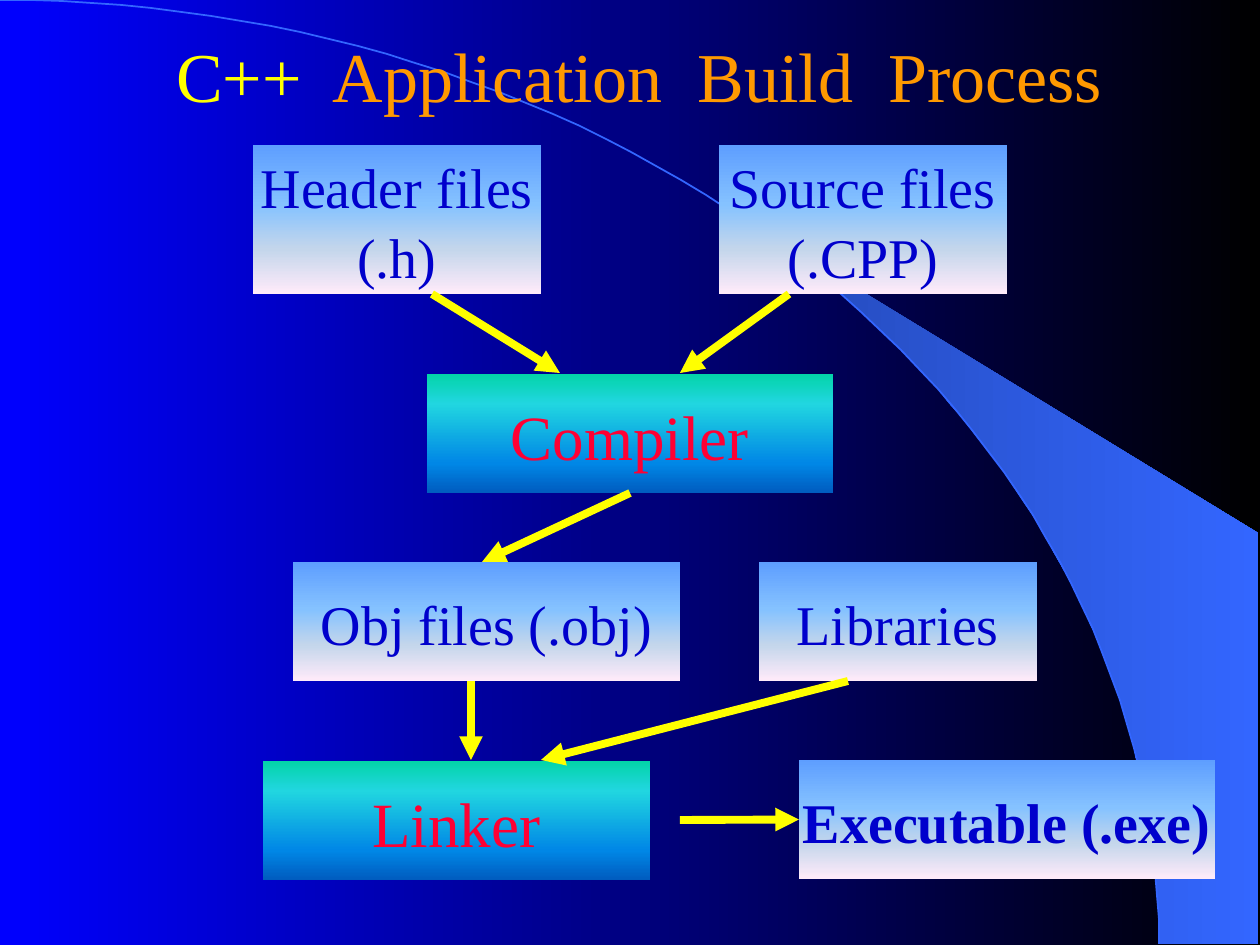
from math import cos, sin, radians

from lxml.etree import SubElement
from pptx import Presentation
from pptx.dml.color import RGBColor
from pptx.enum.shapes import MSO_CONNECTOR, MSO_SHAPE
from pptx.enum.text import MSO_ANCHOR, PP_ALIGN
from pptx.oxml.ns import qn
from pptx.util import Emu, Pt

EMU_PER_PX = 914400 / 126
FILE_STOPS = [(0, "5E9EFF"), (40, "85C2FF"), (70, "C4D6EB"), (100, "FFEBFA")]
TOOL_STOPS = [(0, "03D4A8"), (25, "21D6E0"), (75, "0087E6"), (100, "005CBF")]


def px(length):
    return Emu(round(length * EMU_PER_PX))


def color(value):
    return RGBColor.from_string(value)


def arc_points(start, end, steps=60):
    """Points on the ellipse centred on the lower left corner, in degrees."""
    angles = [radians(start + (end - start) * i / steps) for i in range(steps + 1)]
    return [(round(1159 * cos(a)), round(944 - 944 * sin(a))) for a in angles]


class Builder:
    font = "Times New Roman"
    arrow_color = "FFFF00"

    def __init__(self, page):
        self.page = page
        self.shapes = page.shapes

    def gradient(self, fill, element, stops, angle):
        fill.gradient()
        grad = element.find(".//" + qn("a:gradFill"))
        stop_list = grad.find(qn("a:gsLst"))
        for stop in list(stop_list):
            stop_list.remove(stop)
        for position, value in stops:
            stop = SubElement(stop_list, qn("a:gs"), pos=str(position * 1000))
            SubElement(stop, qn("a:srgbClr"), val=value)
        grad.find(qn("a:lin")).set("ang", str(angle * 60000))

    def background(self, stops):
        self.gradient(self.page.background.fill, self.page.element, stops, 0)

    def outline(self, points, close):
        builder = self.shapes.build_freeform(*points[0], scale=EMU_PER_PX)
        builder.add_line_segments(points[1:], close=close)
        shape = builder.convert_to_shape()
        shape.shadow.inherit = False
        return shape

    def beam(self, points, stops):
        shape = self.outline(points, True)
        self.gradient(shape.fill, shape.element, stops, 0)
        shape.line.fill.background()

    def curve(self, points, value):
        shape = self.outline(points, False)
        shape.fill.background()
        shape.line.color.rgb = color(value)
        shape.line.width = Pt(1)

    def title(self, left, top, width, height, spans):
        box = self.shapes.add_textbox(px(left), px(top), px(width), px(height))
        frame = box.text_frame
        frame.word_wrap = True
        frame.vertical_anchor = MSO_ANCHOR.BOTTOM
        para = frame.paragraphs[0]
        para.font.name, para.font.size = self.font, Pt(40)
        for text, value in spans:
            span = para.add_run()
            span.text = text
            span.font.color.rgb = color(value)

    def box(self, left, top, width, height, lines, stops, size, value, bold=False):
        shape = self.shapes.add_shape(
            MSO_SHAPE.RECTANGLE, px(left), px(top), px(width), px(height))
        shape.shadow.inherit = False
        self.gradient(shape.fill, shape.element, stops, 90)
        shape.line.fill.background()
        frame = shape.text_frame
        frame.word_wrap = False
        frame.vertical_anchor = MSO_ANCHOR.MIDDLE
        frame.text = "\n".join(lines)
        for para in frame.paragraphs:
            para.alignment = PP_ALIGN.CENTER
            para.line_spacing = 1.05
            para.font.name, para.font.size = self.font, Pt(size)
            para.font.bold = bold
            para.font.color.rgb = color(value)
        return shape

    def files(self, left, top, width, height, *lines, bold=False):
        return self.box(left, top, width, height, lines, FILE_STOPS, 32, "0000CC", bold)

    def tool(self, left, top, width, height, name):
        return self.box(left, top, width, height, [name], TOOL_STOPS, 36, "FF0033")

    def arrow(self, x1, y1, x2, y2):
        line = self.shapes.add_connector(
            MSO_CONNECTOR.STRAIGHT, px(x1), px(y1), px(x2), px(y2))
        line.line.color.rgb = color(self.arrow_color)
        line.line.width = Pt(4.5)
        SubElement(line.line._get_or_add_ln(), qn("a:tailEnd"), type="triangle")
        SubElement(line.element.spPr, qn("a:effectLst"))
        return line


def main():
    deck = Presentation()
    deck.slide_width, deck.slide_height = px(1260), px(945)
    page = deck.slides.add_slide(deck.slide_layouts[6])
    build = Builder(page)

    # Backdrop: light beam under a quarter ellipse
    build.background([(0, "0000FF"), (100, "000000")])
    build.beam([(742, 218)] + arc_points(50, 0) + [(1258, 944), (1258, 533)],
               [(0, "2449B6"), (100, "3366FF")])
    build.curve(arc_points(90, 0), "3366FF")

    # Title
    build.title(164, 26, 1022, 97, [("C++ ", "FFFF00"),
                                    (" Application  Build  Process", "FF9900")])

    # Boxes
    build.files(719, 145, 288, 149, "Source files", "(.CPP)")
    build.files(253, 145, 288, 149, "Header files", "(.h)")
    compiler = build.tool(427, 374, 406, 119, "Compiler")
    to_objects = build.arrow(630, 493, 482, 562)
    to_objects.begin_connect(compiler, 2)
    build.files(293, 562, 387, 119, "Obj files (.obj)")
    build.files(759, 562, 278, 119, "Libraries")
    build.tool(263, 761, 387, 119, "Linker")
    executable = build.files(799, 760, 416, 119, "Executable (.exe)", bold=True)

    # Remaining arrows
    for ends in [(432, 294, 560, 373), (789, 294, 680, 373),
                 (471, 681, 471, 760), (848, 681, 541, 760)]:
        build.arrow(*ends)
    build.arrow(680, 820, 799, 820).end_connect(executable, 1)

    deck.save("out.pptx")


if __name__ == "__main__":
    main()
